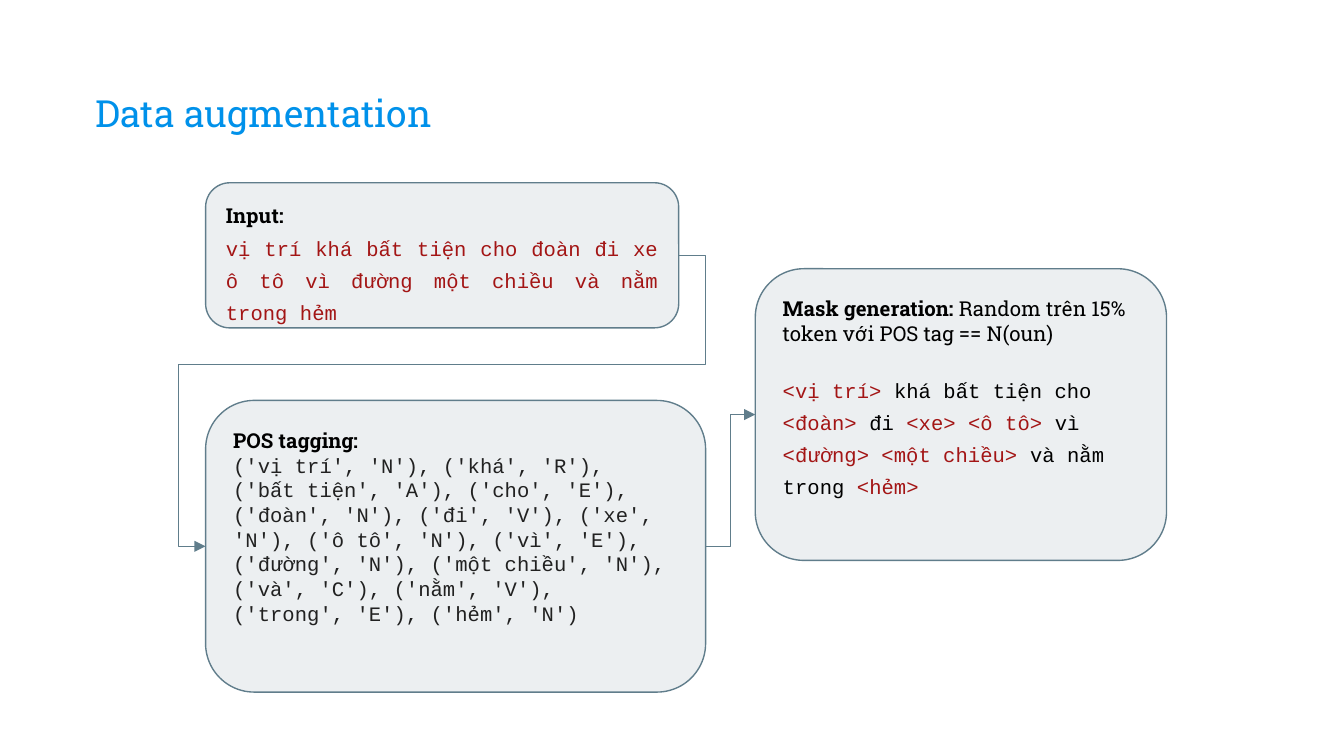
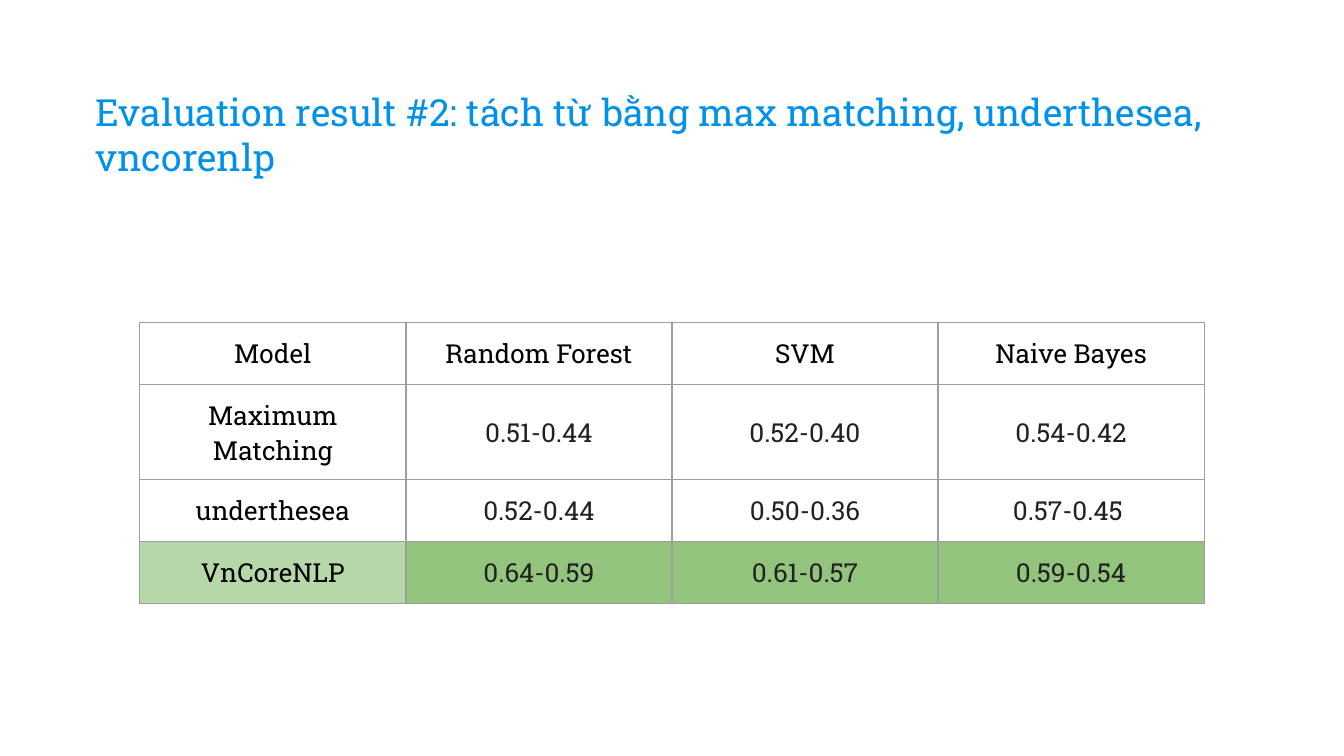
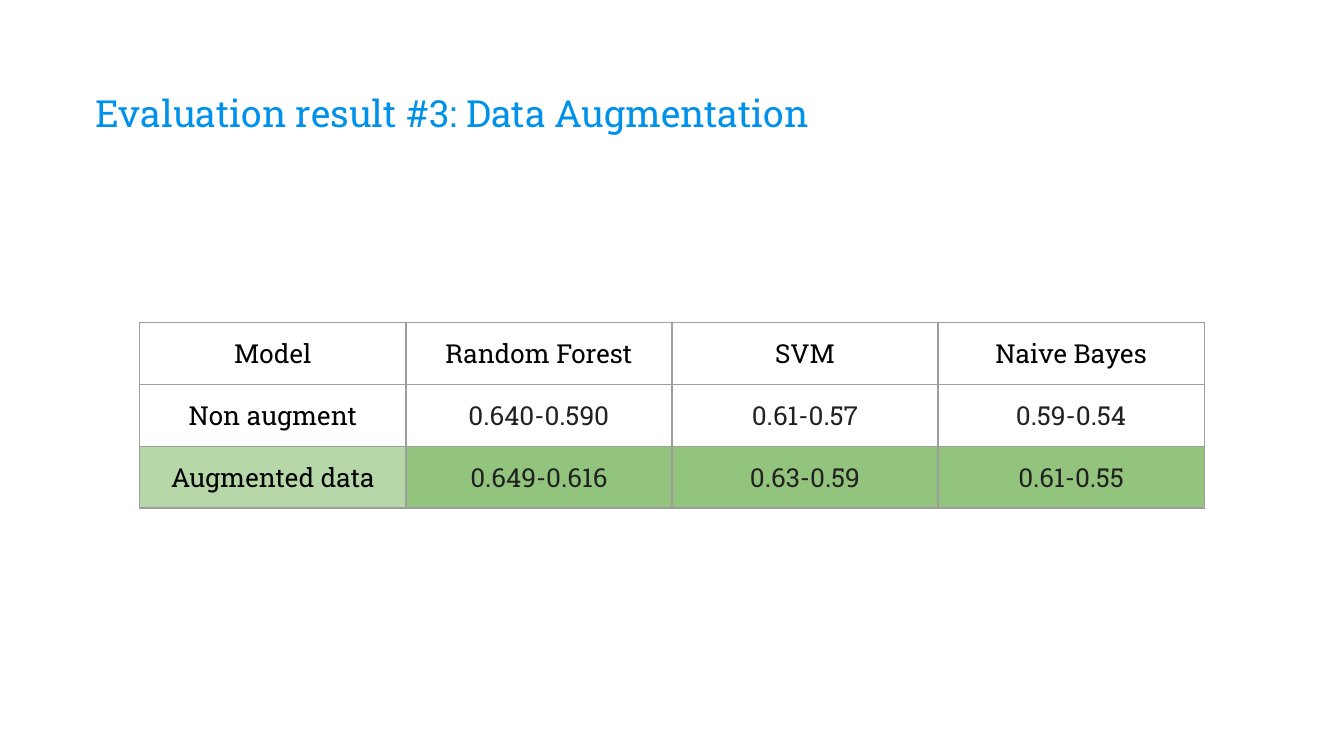
from lxml import etree
from pptx import Presentation, util as u
from pptx.dml.color import RGBColor
from pptx.enum import shapes, text
from pptx.oxml import ns

PX = 9144
SLAB, MONO = "Roboto Slab", "Courier New"
BLUE, SLATE, PANEL = "0091EA", "607D8B", "ECEFF1"
BLACK, DARK, RED, GRID = "000000", "212121", "A31515", "9E9E9E"
GREEN, PALE_GREEN = "93C47D", "B6D7A8"
LEFT, CENTER, JUSTIFY = text.PP_ALIGN.LEFT, text.PP_ALIGN.CENTER, text.PP_ALIGN.JUSTIFY
ROUNDED = shapes.MSO_SHAPE.ROUNDED_RECTANGLE
MODELS = ["Model", "Random Forest", "SVM", "Naive Bayes"]
LEFT_SITE, RIGHT_SITE = 1, 3
ONE_LINE, TWO_LINES = 46, 71


def px(n):
    return u.Emu(n * PX)


def rgb(value):
    return RGBColor.from_string(value)


def add_xml(parent, tag, **attrs):
    return etree.SubElement(parent, ns.qn(tag), attrs)


def set_margins(tf, x, y):
    tf.margin_left = tf.margin_right = px(x)
    tf.margin_top = tf.margin_bottom = px(y)


def add_run(p, words, size=11, font=SLAB, color=BLACK, bold=False):
    r = p.add_run()
    r.text = words
    r.font.size, r.font.name, r.font.bold = u.Pt(size), font, bold
    r.font.color.rgb = rgb(color)


def format_paragraph(p, align=LEFT, spacing=None, before=0):
    p.alignment, p.space_before = align, u.Pt(before)
    if spacing:
        p.line_spacing = spacing


def add_title(s, words, top, width, height, spacing=None):
    tf = s.shapes.add_textbox(px(64), px(top), px(width), px(height)).text_frame
    tf.word_wrap = True
    tf.vertical_anchor = text.MSO_ANCHOR.MIDDLE
    set_margins(tf, 7, 4)
    format_paragraph(tf.paragraphs[0], spacing=spacing)
    add_run(tf.paragraphs[0], words, size=20, color=BLUE)


def add_panel(s, x, y, w, h, heading, align=LEFT):
    sp = s.shapes.add_shape(ROUNDED, px(x), px(y), px(w), px(h))
    sp.shadow.inherit = False
    sp.fill.solid()
    sp.fill.fore_color.rgb = rgb(PANEL)
    sp.line.color.rgb = rgb(SLATE)
    sp.line.width = u.Pt(0.75)
    tf = sp.text_frame
    tf.word_wrap = True
    tf.vertical_anchor = text.MSO_ANCHOR.TOP
    set_margins(tf, 10, 10)
    format_paragraph(tf.paragraphs[0], align)
    add_run(tf.paragraphs[0], heading, bold=True)
    return sp


def add_code(sp, runs, **layout):
    p = sp.text_frame.add_paragraph()
    format_paragraph(p, **layout)
    for words, color in runs:
        add_run(p, words, font=MONO, color=color)


def add_arrow(s, source, target, preset, adjustments):
    cx = s.shapes.add_connector(shapes.MSO_CONNECTOR.ELBOW, 0, 0, 0, 0)
    cx.begin_connect(source, RIGHT_SITE)
    cx.end_connect(target, LEFT_SITE)
    cx.line.color.rgb = rgb(SLATE)
    cx.line.width = u.Pt(0.75)
    props = cx._element.spPr
    add_xml(cx.line._get_or_add_ln(), "a:tailEnd", type="triangle")
    add_xml(props, "a:effectLst")
    geometry = props.find(ns.qn("a:prstGeom"))
    geometry.set("prst", preset)
    guides = geometry.find(ns.qn("a:avLst"))
    for i, value in enumerate(adjustments, 1):
        add_xml(guides, "a:gd", name=f"adj{i}", fmla=f"val {value}")


def set_borders(cell):
    props = cell._tc.get_or_add_tcPr()
    for i, side in enumerate(("L", "R", "T", "B")):
        ln = etree.Element(ns.qn(f"a:ln{side}"), w=str(u.Pt(0.75)))
        add_xml(add_xml(ln, "a:solidFill"), "a:srgbClr", val=GRID)
        props.insert(i, ln)


def format_cell(cell, words, color, fill):
    cell.vertical_anchor = text.MSO_ANCHOR.MIDDLE
    set_margins(cell, 10, 10)
    if fill:
        cell.fill.solid()
        cell.fill.fore_color.rgb = rgb(fill)
    else:
        cell.fill.background()
    set_borders(cell)
    p = cell.text_frame.paragraphs[0]
    format_paragraph(p, CENTER)
    add_run(p, words, size=14, color=color)


def add_results(s, results, heights):
    rows = [MODELS] + results
    table = s.shapes.add_table(len(rows), len(MODELS), px(104), px(240),
                               px(198 * len(MODELS)), px(sum(heights))).table
    table.first_row = table.horz_banding = False
    for i, (row, height) in enumerate(zip(rows, heights)):
        table.rows[i].height = px(height)
        best = i == len(rows) - 1
        for j, words in enumerate(row):
            label = i == 0 or j == 0
            fill = (PALE_GREEN if label else GREEN) if best else None
            format_cell(table.cell(i, j), words, BLACK if label else DARK, fill)


def augmentation_slide(s):
    add_title(s, "Data augmentation", 57, 912, 58, spacing=0.9)
    source = add_panel(s, 153, 136, 352, 108, "Input:", JUSTIFY)
    add_code(source, [("vị trí khá bất tiện cho đoàn đi xe ô tô vì đường một chiều "
                       "và nằm trong hẻm", RED)], align=JUSTIFY, spacing=1.31)
    tagging = add_panel(s, 153, 298, 372, 217, "POS tagging:")
    add_code(tagging, [("('vị trí', 'N'), ('khá', 'R'), ('bất tiện', 'A'), ('cho', 'E'), "
                        "('đoàn', 'N'), ('đi', 'V'), ('xe', 'N'), ('ô tô', 'N'), "
                        "('vì', 'E'), ('đường', 'N'), ('một chiều', 'N'), ('và', 'C'), "
                        "('nằm', 'V'), ('trong', 'E'), ('hẻm', 'N')", DARK)])
    mask = add_panel(s, 562, 200, 306, 217, "Mask generation: ")
    add_run(mask.text_frame.paragraphs[0], "Random trên 15% token với POS tag == N(oun)")
    add_code(mask, [("<vị trí>", RED), (" khá bất tiện cho ", BLACK), ("<đoàn>", RED),
                    (" đi ", BLACK), ("<xe> <ô tô>", RED), (" vì ", BLACK),
                    ("<đường> <một chiều>", RED), (" và nằm trong ", BLACK),
                    ("<hẻm>", RED)], spacing=1.31, before=13)
    add_arrow(s, source, tagging, "bentConnector5", [-5700, 37500, 105700])
    add_arrow(s, tagging, mask, "bentConnector3", [50000])


def segmentation_slide(s):
    add_title(s, "Evaluation result #2: tách từ bằng max matching, underthesea, vncorenlp",
              55, 848, 90)
    add_results(s, [
        ["Maximum Matching", "0.51-0.44", "0.52-0.40", "0.54-0.42"],
        ["underthesea", "0.52-0.44", "0.50-0.36", "0.57-0.45 "],
        ["VnCoreNLP", "0.64-0.59", "0.61-0.57", "0.59-0.54"],
    ], [ONE_LINE, TWO_LINES, ONE_LINE, ONE_LINE])


def augmented_results_slide(s):
    add_title(s, "Evaluation result #3: Data Augmentation", 55, 809, 58)
    add_results(s, [
        ["Non augment", "0.640-0.590", "0.61-0.57", "0.59-0.54"],
        ["Augmented data", "0.649-0.616", "0.63-0.59", "0.61-0.55"],
    ], [ONE_LINE] * 3)


def main():
    prs = Presentation()
    prs.slide_width = px(1000)
    prs.slide_height = prs.slide_width * 9 // 16
    for build in (augmentation_slide, segmentation_slide, augmented_results_slide):
        build(prs.slides.add_slide(prs.slide_layouts[6]))
    prs.save("out.pptx")


if __name__ == "__main__":
    main()
